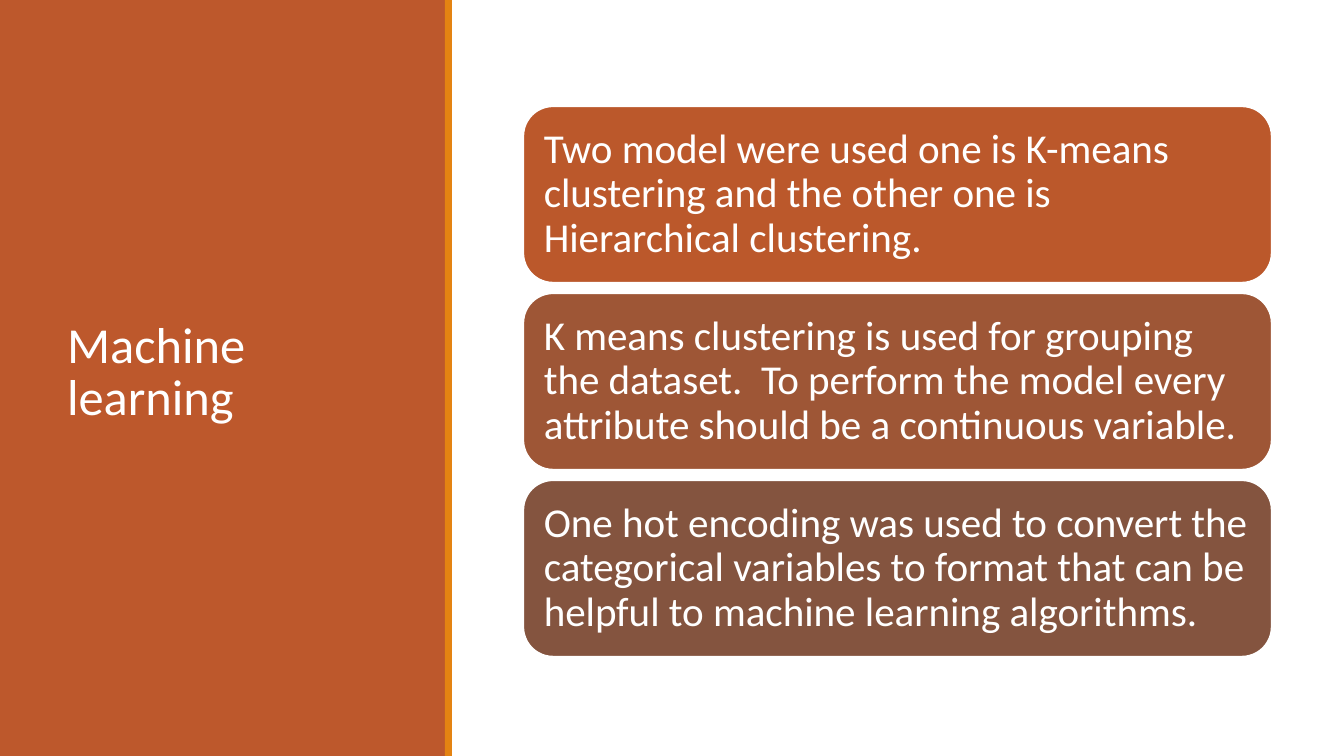
from pptx import Presentation
from pptx.dml.color import RGBColor
from pptx.enum.shapes import MSO_SHAPE
from pptx.enum.text import MSO_ANCHOR, MSO_AUTO_SIZE, PP_ALIGN
from pptx.util import Pt

EMU_PER_PX = 914400 / 134.4


class Theme:
    font = "Calibri"
    white = RGBColor.from_string("FFFFFF")
    panel = RGBColor.from_string("BD582C")
    stripe = RGBColor.from_string("E48312")
    cards = [RGBColor.from_string(code) for code in ("BB582B", "9E5636", "84543F")]
    title_size = Pt(27)
    card_size = Pt(22)
    card_line = Pt(1.25)


def px(*lengths):
    return [round(length * EMU_PER_PX) for length in lengths]


def write_text(shape, text, size, spacing, insets):
    frame = shape.text_frame
    frame.word_wrap = True
    frame.auto_size = MSO_AUTO_SIZE.NONE
    frame.vertical_anchor = MSO_ANCHOR.MIDDLE
    frame.margin_left, frame.margin_top, frame.margin_right, frame.margin_bottom = px(*insets)
    paragraph = frame.paragraphs[0]
    paragraph.alignment = PP_ALIGN.LEFT
    paragraph.line_spacing = spacing
    run = paragraph.add_run()
    run.text = text
    run.font.name = Theme.font
    run.font.size = size
    run.font.color.rgb = Theme.white


presentation = Presentation()
presentation.slide_width, presentation.slide_height = px(1344, 756)
slide = presentation.slides.add_slide(presentation.slide_layouts[5])

# Left panel and its accent stripe
for left, width, color in ((0, 446, Theme.panel), (445, 7, Theme.stripe)):
    band = slide.shapes.add_shape(MSO_SHAPE.RECTANGLE, *px(left, 0, width, 756))
    band.shadow.inherit = False
    band.fill.solid()
    band.fill.fore_color.rgb = color
    band.line.fill.background()

# Title, brought in front of the panel
title = slide.shapes.title
title.left, title.top, title.width, title.height = px(54, 56, 340, 636)
write_text(title, "Machine learning", Theme.title_size, 0.85, (13, 7, 13, 7))
title._element.getparent().append(title._element)

# Stacked cards
card_texts = [
    "Two model were used one is K-means clustering and the other one is "
    "Hierarchical clustering.",
    "K means clustering is used for grouping the dataset.  To perform the model "
    "every attribute should be a continuous variable.",
    "One hot encoding was used to convert the categorical variables to format "
    "that can be helpful to machine learning algorithms.",
]
card_top, card_height, card_gap = 106, 177, 10
for index, (text, color) in enumerate(zip(card_texts, Theme.cards)):
    top = card_top + index * (card_height + card_gap)
    card = slide.shapes.add_shape(
        MSO_SHAPE.ROUNDED_RECTANGLE, *px(523, top, 749, card_height))
    card.adjustments[0] = 0.17
    card.shadow.inherit = False
    card.fill.solid()
    card.fill.fore_color.rgb = color
    card.line.color.rgb = Theme.white
    card.line.width = Theme.card_line
    # The rounded corners already inset the text by about 9 px
    write_text(card, text, Theme.card_size, 0.9, (12, 12, 12, 12))

presentation.save("out.pptx")
